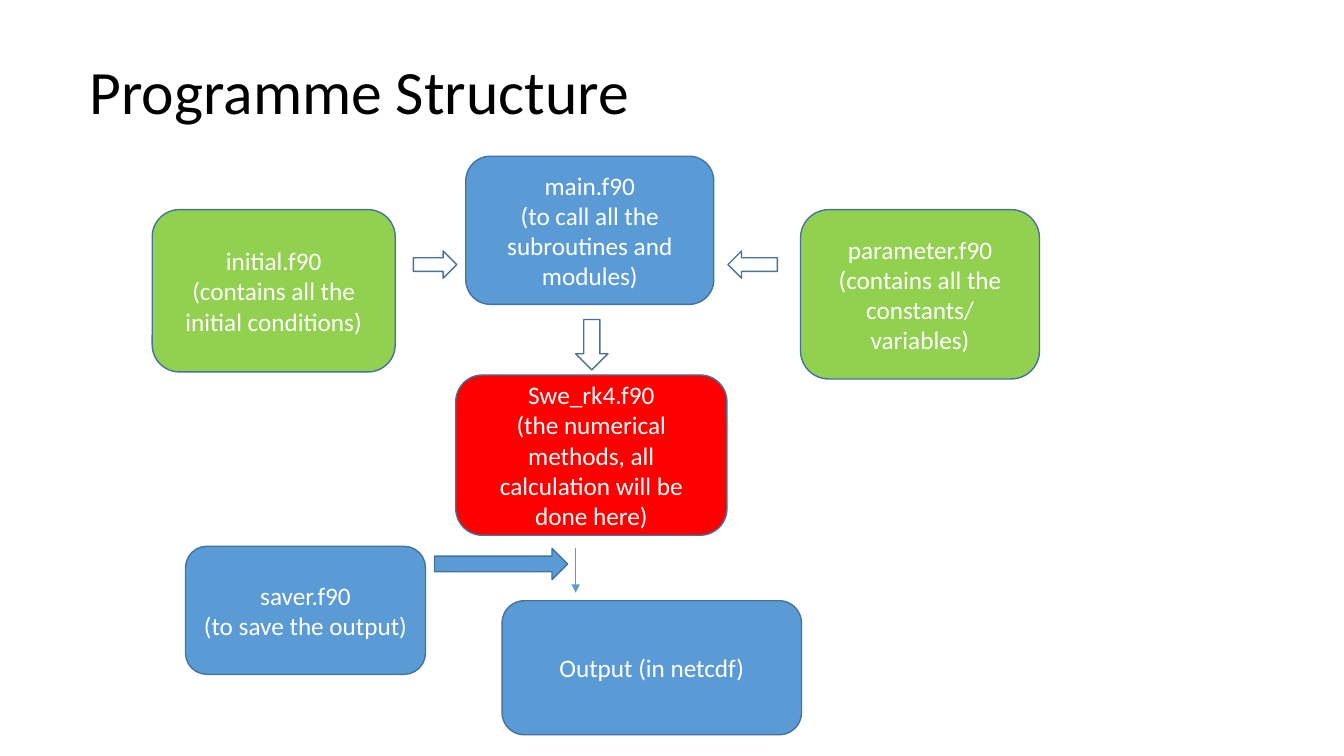
from lxml import etree
from pptx import Presentation
from pptx import util as u
from pptx.dml.color import RGBColor
from pptx.enum import shapes, text
from pptx.oxml import ns

PX = 9144
FONT = "Calibri"
BLACK = RGBColor(0x00, 0x00, 0x00)
WHITE = RGBColor(0xFF, 0xFF, 0xFF)
BLUE = RGBColor(0x5B, 0x9B, 0xD5)
DARK_BLUE = RGBColor(0x43, 0x73, 0x9E)
GREEN = RGBColor(0x92, 0xD0, 0x50)
RED = RGBColor(0xFF, 0x00, 0x00)
SHAPE = shapes.MSO_SHAPE

MODULES = [
    ((312, 0, 246, 147), BLUE, "main.f90\n(to call all the subroutines and modules)"),
    ((644, 53, 237, 168), GREEN, "parameter.f90\n(contains all the constants/\nvariables)"),
    ((1, 53, 241, 161), GREEN, "initial.f90\n(contains all the initial conditions)"),
    ((34, 387, 238, 127), BLUE, "saver.f90\n(to save the output)"),
    ((302, 217, 269, 159), RED,
     "Swe_rk4.f90\n(the numerical methods, all calculation will be done here)"),
    ((348, 441, 297, 133), BLUE, "Output (in netcdf)"),
]
ARROWS = [
    ((260, 94, 43, 27), SHAPE.RIGHT_ARROW, 0, WHITE),
    ((572, 94, 49, 27), SHAPE.RIGHT_ARROW, 180, WHITE),
    ((421, 162, 32, 50), SHAPE.DOWN_ARROW, 0, WHITE),
    ((281, 389, 132, 31), SHAPE.RIGHT_ARROW, 0, BLUE),
]
OUTPUT_LINE = (421, 389, 421, 433)


def emu(*lengths):
    return [u.Emu(n * PX) for n in lengths]


def write(tf, content, size, color, align):
    tf.word_wrap = True
    tf.vertical_anchor = text.MSO_ANCHOR.MIDDLE
    tf.text = content
    for p in tf.paragraphs:
        p.alignment = align
        for r in p.runs:
            r.font.name = FONT
            r.font.size = u.Pt(size)
            r.font.color.rgb = color


def add_title(s, box, content):
    tf = s.shapes.add_textbox(*emu(*box)).text_frame
    write(tf, content, 44, BLACK, text.PP_ALIGN.LEFT)
    tf.paragraphs[0].line_spacing = 0.9


def add_outlined(s, kind, origin, box, fill):
    x, y, w, h = box
    sp = s.shapes.add_shape(kind, *emu(origin[0] + x, origin[1] + y, w, h))
    sp.shadow.inherit = False
    sp.fill.solid()
    sp.fill.fore_color.rgb = fill
    sp.line.color.rgb = DARK_BLUE
    sp.line.width = u.Pt(1)
    return sp


def add_output_line(s, origin, ends):
    x1, y1, x2, y2 = ends
    left, top = origin
    line = s.shapes.add_connector(
        shapes.MSO_CONNECTOR.STRAIGHT,
        *emu(left + x1, top + y1, left + x2, top + y2))
    line.line.color.rgb = BLUE
    line.line.width = u.Pt(0.5)
    tail = etree.SubElement(line.line._get_or_add_ln(), ns.qn("a:tailEnd"))
    tail.set("type", "triangle")
    etree.SubElement(line._element.spPr, ns.qn("a:effectLst"))


def add_diagram(s, origin):
    for box, fill, content in MODULES:
        sp = add_outlined(s, SHAPE.ROUNDED_RECTANGLE, origin, box, fill)
        write(sp.text_frame, content, 18, WHITE, text.PP_ALIGN.CENTER)
    for box, kind, rotation, fill in ARROWS:
        add_outlined(s, kind, origin, box, fill).rotation = rotation
    add_output_line(s, origin, OUTPUT_LINE)


def main():
    prs = Presentation()
    prs.slide_width, prs.slide_height = emu(1333, 750)
    s = prs.slides.add_slide(prs.slide_layouts[6])
    add_title(s, (79, 21, 1150, 145), "Programme Structure")
    add_diagram(s, (150, 155))
    prs.save("out.pptx")


if __name__ == "__main__":
    main()
